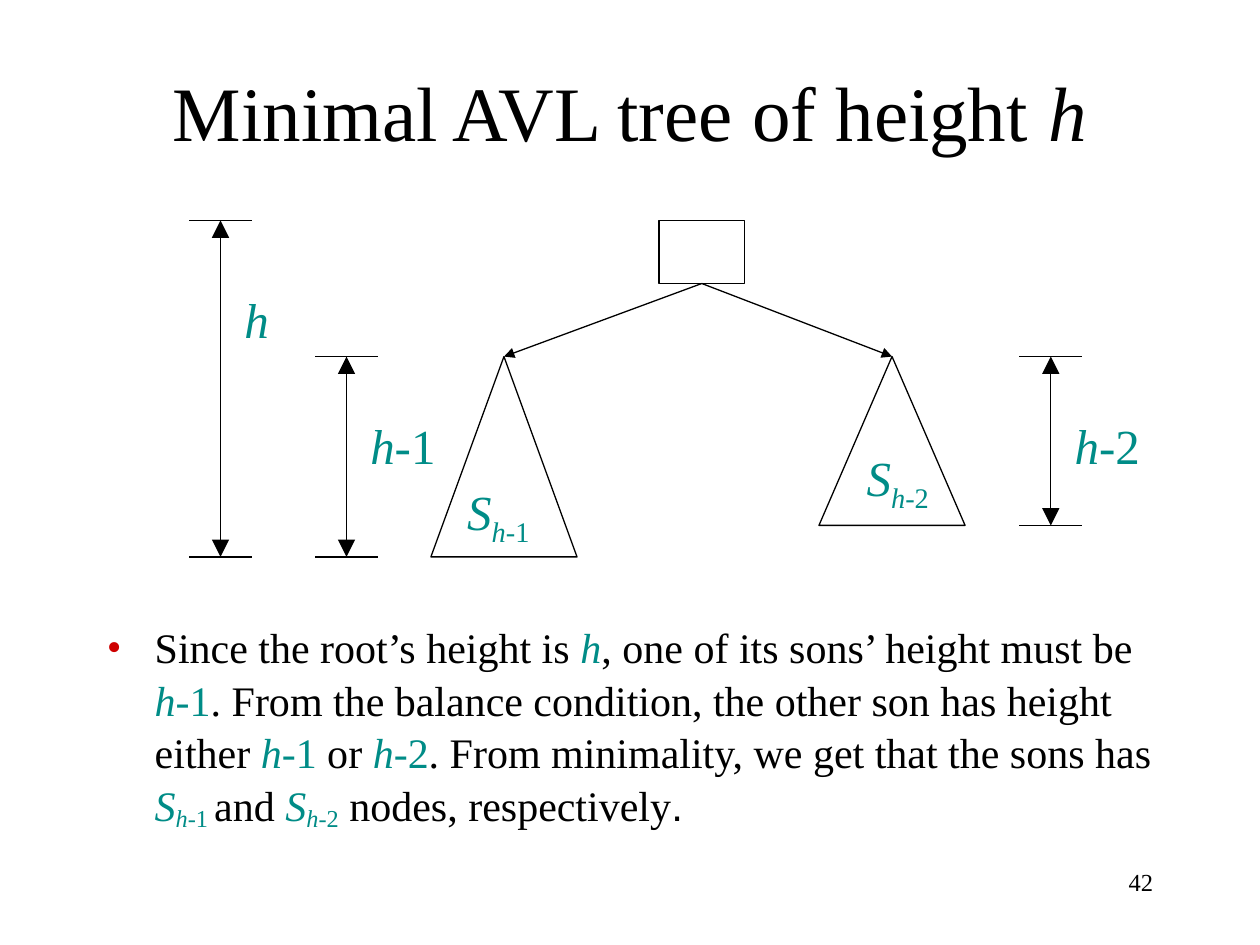
import pptx
import pptx.util
import pptx.dml.color
import pptx.enum.shapes
import pptx.enum.text
from lxml import etree

INK, TEAL, RED = "000000", "008C87", "CE0000"
SERIF = "Times New Roman"
W, H = 10, 7.5

# Run styles
PLAIN = {"color": INK}
VAR = {"color": TEAL, "italic": True}
NUM = {"color": TEAL}


def height(n):
    return [("h-", VAR), (n, NUM)]


def size_of(n, base):
    return [("S", VAR), ("h-", {**VAR, "base": base}), (n, {**NUM, "base": base})]


# Content
TITLE = [("Minimal AVL tree of height ", PLAIN), ("h", {**PLAIN, "italic": True})]
BODY = [
    ("Since the root’s height is ", PLAIN), ("h", VAR),
    (", one of its sons’ height must be ", PLAIN), *height("1"),
    (". From the balance condition, the other son has height either ", PLAIN),
    *height("1"), (" or ", PLAIN), *height("2"),
    (". From minimality, we get that the sons has ", PLAIN),
    *size_of("1 ", -16), ("and ", PLAIN), *size_of("2", -16),
    (" nodes, respectively", PLAIN), (".", {**PLAIN, "font": "Arial"}),
]

# Levels shared by the tree and the height marks
ROOT_TOP, ROOT_BOTTOM, SON_TOP = 1.75, 2.25, 2.83
LEFT_BOTTOM, RIGHT_BOTTOM = 4.42, 4.17
ROOT_X, ROOT_W, SON_HALF, TICK_HALF = 5.57, 0.68, 0.58, 0.25

# Subtrees: centre, bottom, label, label position
SONS = [
    (4.0, LEFT_BOTTOM, size_of("1", -25), (3.61, 3.77)),
    (7.08, RIGHT_BOTTOM, size_of("2", -25), (6.78, 3.5)),
]
# Height marks: x, top, bottom, label, label top, label width
MARKS = [
    (1.75, ROOT_TOP, LEFT_BOTTOM, [("h", VAR)], 2.25, 0.39),
    (2.75, SON_TOP, LEFT_BOTTOM, height("1"), 3.25, 0.72),
    (8.34, SON_TOP, RIGHT_BOTTOM, height("2"), 3.25, 0.72),
]

prs = pptx.Presentation()
inch = pptx.util.Inches
prs.slide_width, prs.slide_height = inch(W), inch(H)
s = prs.slides.add_slide(prs.slide_layouts[6])


def rgb(value):
    return pptx.dml.color.RGBColor.from_string(value)


def add(parent, tag, **attrs):
    return etree.SubElement(parent, pptx.oxml.ns.qn(tag), **attrs)


def outline(sp):
    sp.line.color.rgb = rgb(INK)
    sp.line.width = pptx.util.Pt(0.75)


def add_text(runs, box, size, label=False, align="LEFT", anchor="TOP", bullet=None):
    tf = s.shapes.add_textbox(*map(inch, box)).text_frame
    tf.word_wrap = not label
    if label:
        tf.auto_size = pptx.enum.text.MSO_AUTO_SIZE.SHAPE_TO_FIT_TEXT
    tf.vertical_anchor = getattr(pptx.enum.text.MSO_ANCHOR, anchor)
    p = tf.paragraphs[0]
    p.alignment = getattr(pptx.enum.text.PP_ALIGN, align)
    if bullet:
        p.line_spacing = 1.04
        pPr = p._p.get_or_add_pPr()
        pPr.set("marL", str(inch(0.38)))
        pPr.set("indent", str(-inch(0.38)))
        add(add(pPr, "a:buClr"), "a:srgbClr", val=bullet)
        add(pPr, "a:buFont", typeface=SERIF)
        add(pPr, "a:buChar", char="•")
    for text, style in runs:
        r = p.add_run()
        r.text = text
        values = {"name": style.get("font", SERIF), "size": pptx.util.Pt(size),
                  "italic": style.get("italic", False)}
        for name, value in values.items():
            setattr(r.font, name, value)
        r.font.color.rgb = rgb(style["color"])
        if "base" in style:
            r._r.get_or_add_rPr().set("baseline", str(style["base"] * 1000))


def add_line(x1, y1, x2, y2, ends=()):
    line = s.shapes.add_connector(
        pptx.enum.shapes.MSO_CONNECTOR.STRAIGHT, *map(inch, (x1, y1, x2, y2)))
    outline(line)
    for end, size in ends:
        add(line.line._get_or_add_ln(), "a:" + end, type="triangle", w=size, len=size)
    add(line._element.spPr, "a:effectLst")


# Title, explanation and slide number
add_text(TITLE, (0.75, 0.25, 8.5, 1.25), 44, align="CENTER", anchor="MIDDLE")
add_text(BODY, (0.75, 4.87, 8.5, 1.8), 24, bullet=RED)
add_text([("42", PLAIN)], (7.17, 6.83, 2.08, 0.5), 14, align="RIGHT")

# Root
root = s.shapes.add_shape(
    pptx.enum.shapes.MSO_SHAPE.RECTANGLE,
    *map(inch, (ROOT_X - ROOT_W / 2, ROOT_TOP, ROOT_W, ROOT_BOTTOM - ROOT_TOP)))
root.fill.background()
root.shadow.inherit = False
outline(root)

# Subtrees with their edges from the root
for x, bottom, label, at in SONS:
    fb = s.shapes.build_freeform(inch(x - SON_HALF), inch(bottom))
    fb.add_line_segments([(inch(x), inch(SON_TOP)), (inch(x + SON_HALF), inch(bottom))])
    tri = fb.convert_to_shape()
    tri.fill.background()
    tri.shadow.inherit = False
    outline(tri)
    add_line(ROOT_X, ROOT_BOTTOM, x, SON_TOP, [("tailEnd", "med")])
    add_text(label, (*at, 0.72, 0.63), 28, label=True)

# Height marks
for x, top, bottom, label, label_top, label_w in MARKS:
    for y in (top, bottom):
        add_line(x - TICK_HALF, y, x + TICK_HALF, y)
    add_line(x, top, x, bottom, [("headEnd", "lg"), ("tailEnd", "lg")])
    add_text(label, (x + 0.09, label_top, label_w, 0.57), 28, label=True)

prs.save("out.pptx")
